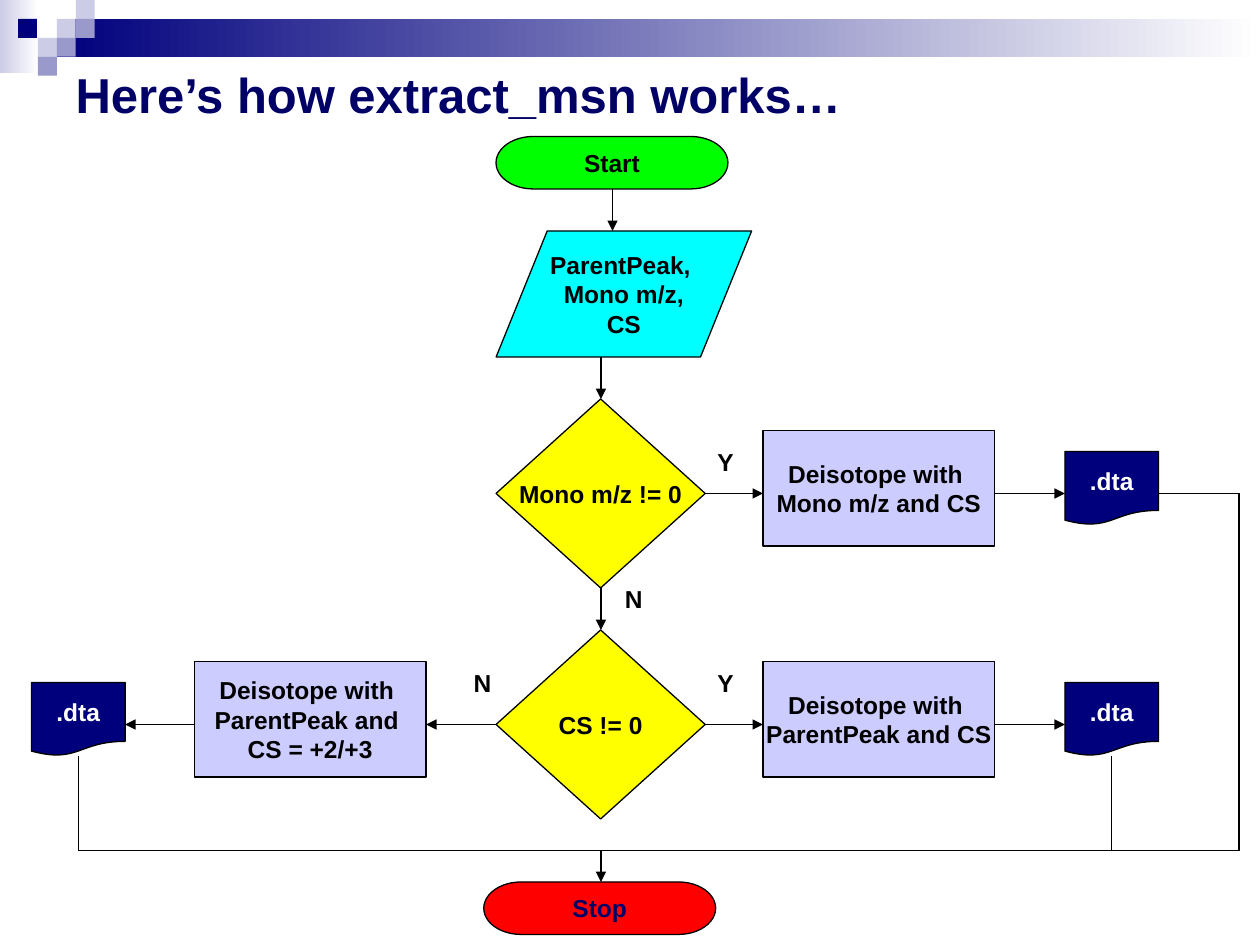
import pptx
import pptx.util
import pptx.dml.color
import pptx.enum.shapes
import pptx.enum.text
import pptx.oxml

Pt = pptx.util.Pt
SHAPE = pptx.enum.shapes.MSO_SHAPE
ALIGN = pptx.enum.text.PP_ALIGN
ANCHOR = pptx.enum.text.MSO_ANCHOR
NAMESPACE = 'xmlns:a="http://schemas.openxmlformats.org/drawingml/2006/main"'

NAVY, LAVENDER, PERIWINKLE = "00007D", "CCCCE6", "9999CC"
BLACK, WHITE, INK = "000000", "FFFFFF", "000066"


def color(value):
    return pptx.dml.color.RGBColor.from_string(value)


class FlowSlide:
    font_name = "Arial"
    text_size = 14
    line_width = 0.74

    def __init__(self, deck):
        self.slide = deck.slides.add_slide(deck.slide_layouts[5])

    def style(self, frame, text, size, text_color, align):
        frame.text = text
        for para in frame.paragraphs:
            para.alignment = align
            para.font.name = self.font_name
            para.font.size = Pt(size)
            para.font.bold = True
            para.font.color.rgb = color(text_color)

    def title(self, text, left, top, width, height):
        box = self.slide.shapes.title
        box.left, box.top, box.width, box.height = map(Pt, (left, top, width, height))
        frame = box.text_frame
        frame.auto_size = pptx.enum.text.MSO_AUTO_SIZE.NONE
        frame.vertical_anchor = ANCHOR.TOP
        frame.margin_top = Pt(6.6)
        self.style(frame, text, 28, INK, ALIGN.LEFT)

    def block(self, left, top, width, height, fill, kind=SHAPE.RECTANGLE):
        shape = self.slide.shapes.add_shape(kind, *map(Pt, (left, top, width, height)))
        shape.shadow.inherit = False
        shape.line.fill.background()
        shape.fill.solid()
        shape.fill.fore_color.rgb = color(fill)
        return shape

    def fade(self, left, top, width, height, start):
        shape = self.block(left, top, width, height, start)
        shape.fill.gradient()
        shape.fill.gradient_angle = 0
        for stop, position, value in zip(shape.fill.gradient_stops, (0, 1), (start, WHITE)):
            stop.position = position
            stop.color.rgb = color(value)

    def node(self, kind, text, left, top, width, height, fill, text_color=BLACK):
        shape = self.block(left, top, width, height, fill, kind)
        shape.line.color.rgb = color(BLACK)
        shape.line.width = Pt(self.line_width)
        frame = shape.text_frame
        frame.word_wrap = False
        frame.vertical_anchor = ANCHOR.MIDDLE
        self.style(frame, text, self.text_size, text_color, ALIGN.CENTER)

    def decision(self, text, row):
        self.node(SHAPE.FLOWCHART_DECISION, text, 283.5, row - 54, 119.5, 108, "FFFF00")

    def process(self, text, left, row):
        self.node(SHAPE.FLOWCHART_PROCESS, text, left, row - 36, 132.5, 66, "CCCCFF")

    def document(self, left, row):
        self.node(SHAPE.FLOWCHART_DOCUMENT, ".dta", left, row - 24, 53.5, 42, NAVY, WHITE)

    def terminator(self, text, left, top, fill, text_color):
        self.node(SHAPE.FLOWCHART_TERMINATOR, text, left, top, 132.5, 30, fill, text_color)

    def label(self, text, left, top, width):
        box = self.slide.shapes.add_textbox(Pt(left), Pt(top), Pt(width), Pt(24.5))
        box.text_frame.word_wrap = True
        self.style(box.text_frame, text, self.text_size, BLACK, ALIGN.LEFT)

    def line(self, x1, y1, x2, y2, arrow=False):
        line = self.slide.shapes.add_connector(
            pptx.enum.shapes.MSO_CONNECTOR.STRAIGHT, *map(Pt, (x1, y1, x2, y2)))
        line.line.color.rgb = color(BLACK)
        line.line.width = Pt(self.line_width)
        if arrow:
            line.line._get_or_add_ln().append(
                pptx.oxml.parse_xml(f'<a:tailEnd {NAMESPACE} type="triangle"/>'))
        line._element.spPr.append(pptx.oxml.parse_xml(f"<a:effectLst {NAMESPACE}/>"))


deck = pptx.Presentation()
deck.slide_width, deck.slide_height = Pt(720), Pt(540)
page = FlowSlide(deck)

# Header band and checker squares
page.fade(0, 0, 22, 42, LAVENDER)
page.fade(32.5, 10.8, 687.5, 21.6, NAVY)
unit = 10.8
for left, step, fill in [
    (32.5, 1, LAVENDER), (43.3, 0, LAVENDER), (43.3, 1, PERIWINKLE),
    (21.7, 2, LAVENDER), (10.3, 1, NAVY), (32.5, 2, PERIWINKLE),
    (21.7, 3, PERIWINKLE),
]:
    page.block(left, step * unit, unit, unit, fill)

page.title("Here\u2019s how extract_msn works\u2026", 36, 30.2, 648, 78)

# Flowchart nodes
center, mono_row, charge_row, bus = 343.4, 282, 414, 486
left_document, left_process, right_process, right_document = 18, 111, 436, 608.5
page.terminator("Start", 283.5, 78, "00FF00", BLACK)
page.node(SHAPE.FLOWCHART_DATA, "ParentPeak, \nMono m/z,\nCS", 283.5, 132, 146, 72, "00FFFF")
page.decision("Mono m/z != 0", mono_row)
page.decision("CS != 0", charge_row)
page.process("Deisotope with \nMono m/z and CS", right_process, mono_row)
page.process("Deisotope with \nParentPeak and CS", right_process, charge_row)
page.process("Deisotope with \nParentPeak and \nCS = +2/+3", left_process, charge_row)
page.document(right_document, mono_row)
page.document(right_document, charge_row)
page.document(left_document, charge_row)
page.terminator("Stop", 276.5, 504, "FF0000", INK)

# Arrows down the middle
for x, top, bottom in [(350, 108, 132), (center, 204, 228),
                       (center, 336, 360), (center, bus, 504)]:
    page.line(x, top, x, bottom, arrow=True)

# Arrows along the rows
for row in (mono_row, charge_row):
    page.line(403, row, right_process, row, arrow=True)
    page.line(568.5, row, right_document, row, arrow=True)
page.line(283.5, charge_row, 243.5, charge_row, arrow=True)
page.line(left_process, charge_row, 71.5, charge_row, arrow=True)

# Return lines to the stop node
left_end, right_end, far_right = 44.7, 635.2, 708
stops = [left_end, center, right_end, far_right]
for start, end in zip(stops, stops[1:]):
    page.line(start, bus, end, bus)
for x in (left_end, right_end):
    page.line(x, 432, x, bus)
page.line(662, mono_row, far_right, mono_row)
page.line(far_right, mono_row, far_right, bus)

# Branch labels
for text, left, top, width in [("Y", 402.8, 252, 26.6), ("N", 350, 330, 20.2),
                               ("N", 263.5, 378, 20.2), ("Y", 402.8, 378, 26.6)]:
    page.label(text, left, top, width)

deck.save("out.pptx")
